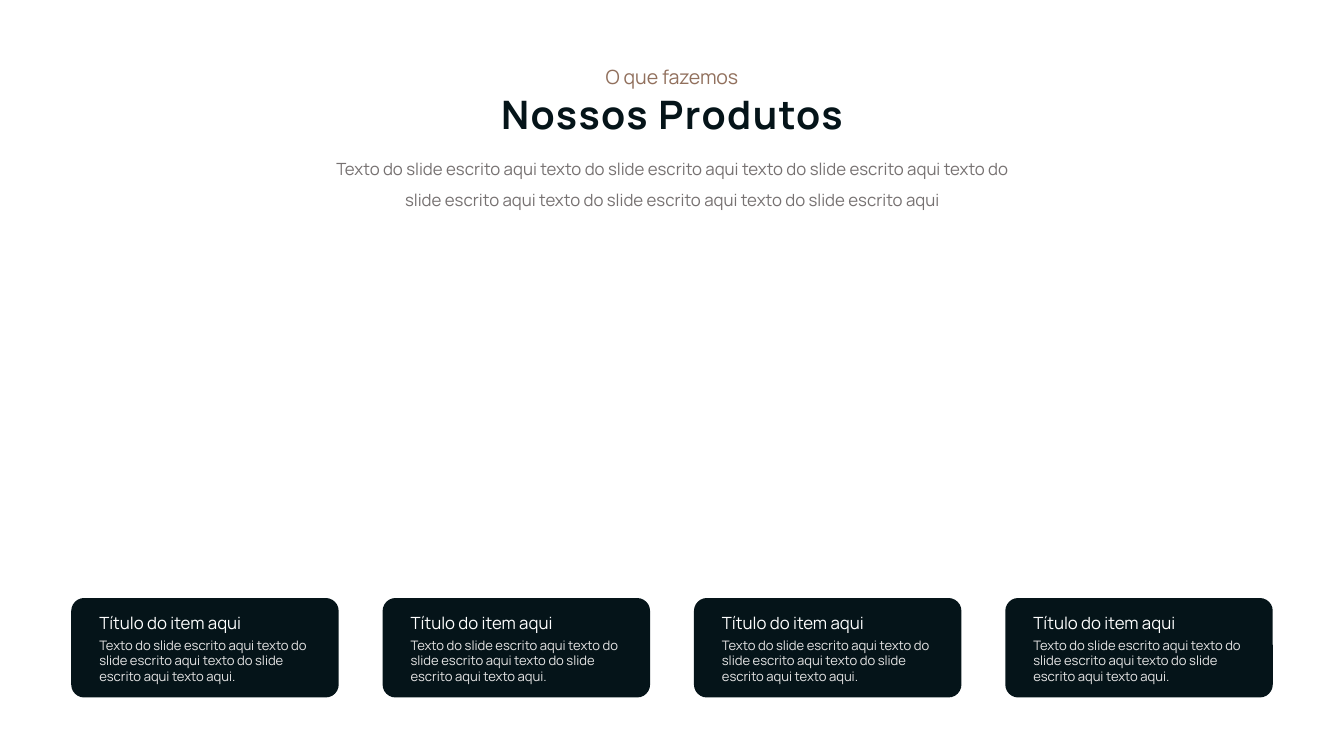
from pptx import Presentation
from pptx.dml.color import RGBColor
from pptx.enum.shapes import MSO_SHAPE
from pptx.enum.text import MSO_AUTO_SIZE, PP_ALIGN
from pptx.util import Inches, Pt

ROUNDED = MSO_SHAPE.ROUNDED_RECTANGLE
FIT_SHAPE = MSO_AUTO_SIZE.SHAPE_TO_FIT_TEXT
LEFT, CENTER = PP_ALIGN.LEFT, PP_ALIGN.CENTER

NAVY = RGBColor(0x05, 0x14, 0x19)
BROWN = RGBColor(0x91, 0x70, 0x5D)
GRAY = RGBColor(0x76, 0x71, 0x71)
PALE = RGBColor(0xE7, 0xE6, 0xE6)
WHITE = RGBColor(0xFF, 0xFF, 0xFF)

FONT = "Manrope"
SLIDE_W, SLIDE_H = 10, 5.625
MARGIN = 0.53
COLUMNS = 4
CARD_W, CARD_H, CARD_TOP = 1.99, 0.74, 4.45
PITCH = (SLIDE_W - 2 * MARGIN - CARD_W) / (COLUMNS - 1)
TEXT_INDENT, TEXT_W = 0.11, 1.89

PHRASE = "texto do slide escrito aqui"
INTRO = " ".join([PHRASE.capitalize()] + [PHRASE] * 5)
ITEM_TITLE = "Título do item aqui"
ITEM_TEXT = " ".join([PHRASE.capitalize()] + [PHRASE] * 2 + ["texto aqui."])


def add_text(s, text, left, top, width, height, *, size, color,
             align=LEFT, bold=False, line_spacing=1.0, tracking=None):
    sp = s.shapes.add_textbox(Inches(left), Inches(top), Inches(width), Inches(height))
    tf = sp.text_frame
    tf.word_wrap = True
    tf.auto_size = FIT_SHAPE
    p = tf.paragraphs[0]
    p.alignment = align
    p.line_spacing = line_spacing
    r = p.add_run()
    r.text = text
    r.font.name = FONT
    r.font.size = Pt(size)
    r.font.bold = bold
    r.font.color.rgb = color
    if tracking is not None:
        r._r.get_or_add_rPr().set("spc", str(int(tracking * 100)))


def add_centered(s, text, top, width, height, **fmt):
    add_text(s, text, (SLIDE_W - width) / 2, top, width, height, align=CENTER, **fmt)


def add_card(s, column):
    left = MARGIN + column * PITCH
    sp = s.shapes.add_shape(ROUNDED, Inches(left), Inches(CARD_TOP),
                            Inches(CARD_W), Inches(CARD_H))
    sp.adjustments[0] = 0.13
    sp.shadow.inherit = False
    sp.fill.solid()
    sp.fill.fore_color.rgb = NAVY
    sp.line.fill.background()
    text_left = left + TEXT_INDENT
    add_text(s, ITEM_TEXT, text_left, CARD_TOP + 0.24, TEXT_W, 0.45, size=7, color=PALE)
    add_text(s, ITEM_TITLE, text_left, CARD_TOP + 0.06, TEXT_W, 0.25, size=9, color=WHITE)


def main():
    prs = Presentation()
    prs.slide_width, prs.slide_height = Inches(SLIDE_W), Inches(SLIDE_H)
    s = prs.slides.add_slide(prs.slide_layouts[6])
    add_centered(s, "Nossos Produtos", 0.62, 3.15, 0.45,
                 size=21, color=NAVY, bold=True, tracking=0.8)
    add_centered(s, "O que fazemos", 0.35, 1.78, 0.34,
                 size=10.5, color=BROWN, line_spacing=1.5)
    add_centered(s, INTRO, 1.06, 5.25, 0.53, size=9, color=GRAY, line_spacing=1.5)
    for column in range(COLUMNS):
        add_card(s, column)
    prs.save("out.pptx")


if __name__ == "__main__":
    main()
